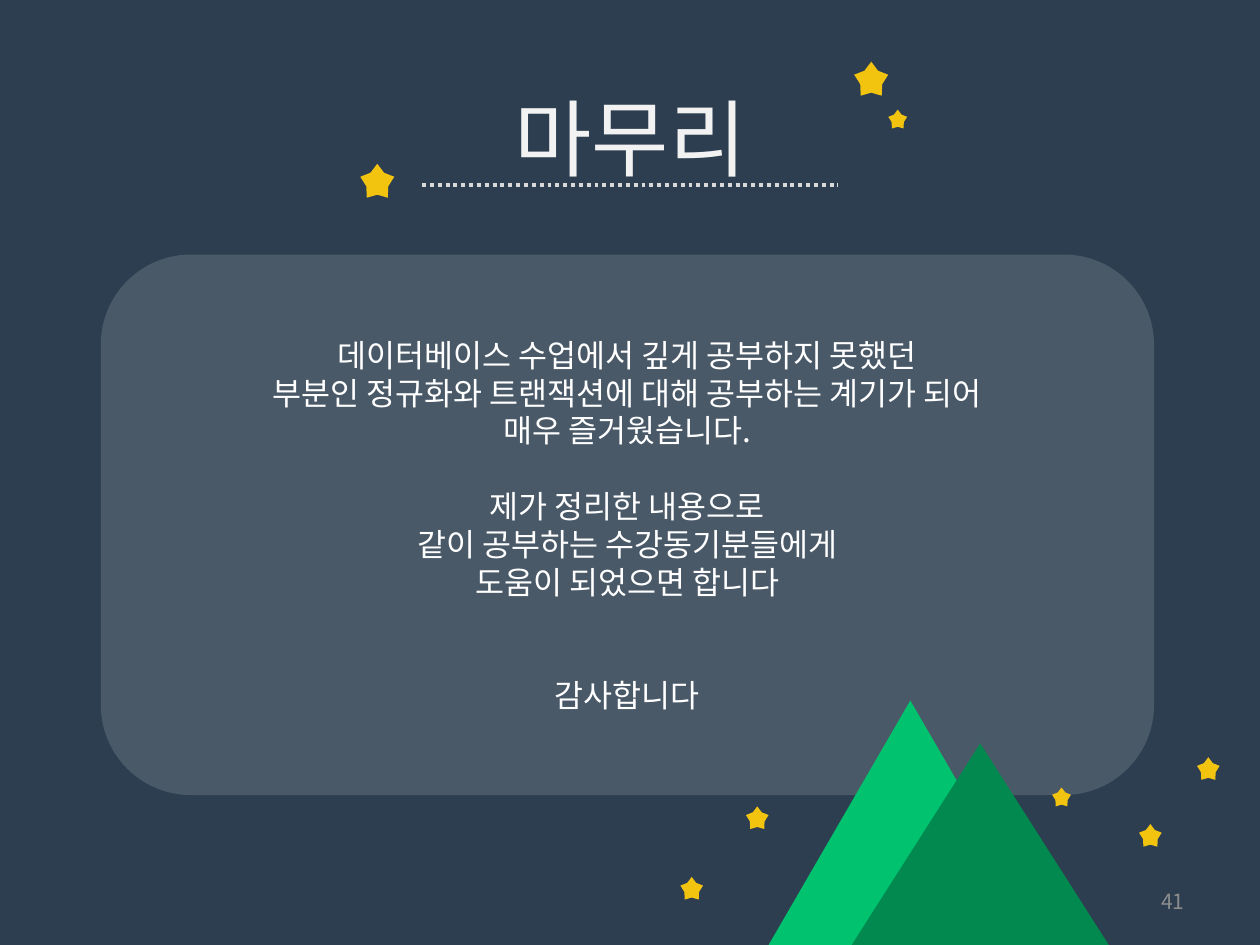
import pptx
import pptx.dml.color
import pptx.enum.dml
import pptx.enum.shapes
import pptx.enum.text
import pptx.oxml
import pptx.oxml.ns
import pptx.util
from pptx.util import Inches

COLORS = {
    "night": "2D3E50", "white": "FFFFFF", "title": "F2F2F2", "rule": "D9D9D9",
    "star": "F3C40F", "peak": "01C26E", "front_peak": "01894F", "number": "8C8C8C",
}
FONT = "Noto Sans CJK KR"
LINE_RATIO = 1.2
SHAPE = pptx.enum.shapes.MSO_SHAPE
ALIGN = pptx.enum.text.PP_ALIGN
ANCHOR = pptx.enum.text.MSO_ANCHOR

MESSAGE = [
    ["데이터베이스 수업에서 깊게 공부하지 못했던",
     "부분인 정규화와 트랜잭션에 대해 공부하는 계기가 되어",
     "매우 즐거웠습니다."],
    ["제가 정리한 내용으로",
     "같이 공부하는 수강동기분들에게",
     "도움이 되었으면 합니다"],
    ["감사합니다"],
]
BLANK_LINES_BEFORE = [0, 1, 2]

# left, top, size
STARS = [
    (9.5, 6.01, 0.18), (5.4, 6.96, 0.18), (9.04, 6.54, 0.18), (5.92, 6.4, 0.18),
    (8.35, 6.25, 0.15), (2.86, 1.3, 0.27), (6.78, 0.49, 0.27), (7.05, 0.87, 0.15),
]


def rgb(name):
    return pptx.dml.color.RGBColor.from_string(COLORS[name])


def add_child(parent, tag, **attrs):
    child = pptx.oxml.parse_xml(f"<a:{tag} {pptx.oxml.ns.nsdecls('a')}/>")
    for key, value in attrs.items():
        child.set(key, value)
    parent.append(child)


class SlideBuilder:
    """Holds the current slide and draws its elements in the deck's style."""

    def __init__(self, prs):
        self.slide = prs.slides.add_slide(prs.slide_layouts[6])
        fill = self.slide.background.fill
        fill.solid()
        fill.fore_color.rgb = rgb("night")

    def shape(self, kind, left, top, width, height, color, alpha=None):
        """Add a preset shape without outline; alpha is opacity in percent."""
        sp = self.slide.shapes.add_shape(
            kind, Inches(left), Inches(top), Inches(width), Inches(height))
        sp.shadow.inherit = False
        sp.fill.solid()
        sp.fill.fore_color.rgb = rgb(color)
        sp.line.fill.background()
        if alpha is not None:
            srgb = sp._element.spPr.find(".//" + pptx.oxml.ns.qn("a:srgbClr"))
            add_child(srgb, "alpha", val=str(alpha * 1000))
        return sp

    def star(self, left, top, size):
        sp = self.shape(SHAPE.STAR_5_POINT, left, top, size, size, "star")
        sp.adjustments[0] = 0.323

    def style(self, p, size, color, align):
        p.alignment = align
        p.line_spacing = pptx.util.Pt(round(size * LINE_RATIO, 1))
        for r in p.runs:
            r.font.size = pptx.util.Pt(size)
            r.font.color.rgb = rgb(color)
            r.font.name = FONT
            add_child(r._r.get_or_add_rPr(), "ea", typeface=FONT)

    def text(self, left, top, width, height, text, size, color, align, anchor):
        tf = self.slide.shapes.add_textbox(
            Inches(left), Inches(top), Inches(width), Inches(height)).text_frame
        tf.word_wrap = True
        tf.vertical_anchor = anchor
        tf.text = text
        self.style(tf.paragraphs[0], size, color, align)

    def message(self, sp, blocks, gaps, size):
        """Fill a shape with blocks of lines, each set off by a gap in lines."""
        tf = sp.text_frame
        tf.word_wrap = True
        tf.vertical_anchor = ANCHOR.MIDDLE
        tf.text = "\n".join(line for block in blocks for line in block)
        paragraphs = iter(tf.paragraphs)
        for block, gap in zip(blocks, gaps):
            for i in range(len(block)):
                p = next(paragraphs)
                self.style(p, size, "white", ALIGN.CENTER)
                if i == 0 and gap:
                    p.space_before = pptx.util.Pt(round(gap * size * LINE_RATIO, 1))

    def dotted_line(self, left, right, y):
        line = self.slide.shapes.add_connector(
            pptx.enum.shapes.MSO_CONNECTOR.STRAIGHT,
            Inches(left), Inches(y), Inches(right), Inches(y))
        line.line.color.rgb = rgb("rule")
        line.line.width = pptx.util.Pt(2.25)
        line.line.dash_style = pptx.enum.dml.MSO_LINE.ROUND_DOT
        add_child(line._element.spPr, "effectLst")


def main():
    prs = pptx.Presentation()
    prs.slide_width, prs.slide_height = Inches(10), Inches(7.5)
    s = SlideBuilder(prs)

    panel = s.shape(SHAPE.ROUNDED_RECTANGLE, 0.8, 2.02, 8.36, 4.29, "white", alpha=14)
    s.message(panel, MESSAGE, BLANK_LINES_BEFORE, 18)
    s.text(2.86, 0.64, 4.29, 0.91, "마무리", 48, "title", ALIGN.CENTER, ANCHOR.TOP)

    s.shape(SHAPE.ISOSCELES_TRIANGLE, 6.1, 5.56, 2.25, 1.94, "peak")
    s.shape(SHAPE.ISOSCELES_TRIANGLE, 6.76, 5.9, 2.04, 1.6, "front_peak")
    for star in STARS:
        s.star(*star)

    s.dotted_line(3.35, 6.65, 1.47)
    s.text(7.17, 6.95, 2.33, 0.4, "41", 12, "number", ALIGN.RIGHT, ANCHOR.MIDDLE)
    prs.save("out.pptx")


if __name__ == "__main__":
    main()
